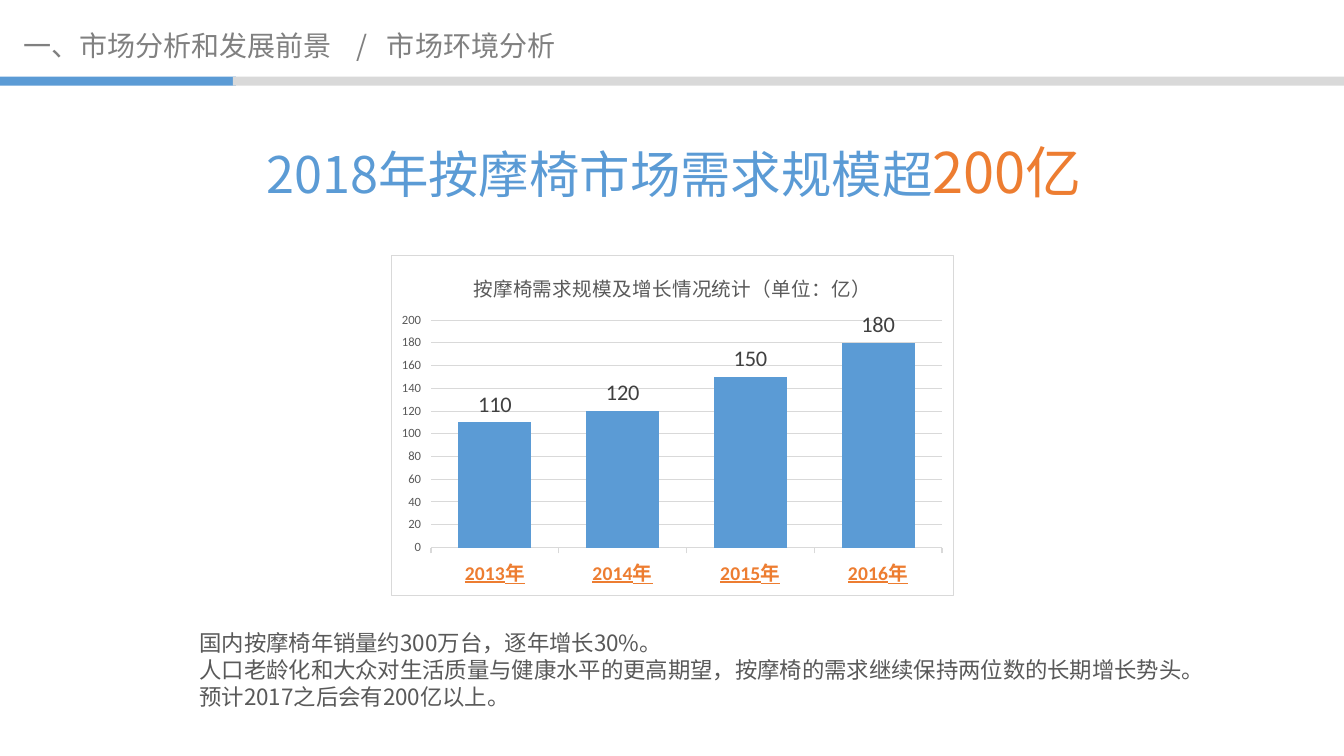
from dataclasses import dataclass

import pptx
import pptx.chart.data
import pptx.dml.color
import pptx.enum.chart
import pptx.enum.text
import pptx.enum.shapes
import pptx.oxml
import pptx.oxml.ns
import pptx.util
from lxml import etree

Inches = pptx.util.Inches
Pt = pptx.util.Pt
qn = pptx.oxml.ns.qn


@dataclass(frozen=True)
class Theme:
    blue: str = "5B9BD5"
    orange: str = "ED7D31"
    rule: str = "D9D9D9"
    breadcrumb: str = "808080"
    body: str = "595959"
    value: str = "404040"
    text_font: str = "Noto Sans CJK SC"
    chart_font: str = "Calibri"
    headline_size: int = 36
    amount_size: int = 40
    breadcrumb_size: int = 20
    body_size: int = 16
    chart_title_size: int = 14
    category_size: int = 14
    axis_size: int = 9
    hairline: float = 0.75


@dataclass(frozen=True)
class Box:
    left: float
    top: float
    width: float
    height: float

    def lengths(self) -> tuple:
        return tuple(Inches(v) for v in (self.left, self.top, self.width, self.height))


@dataclass(frozen=True)
class Bar:
    box: Box
    color: str


@dataclass(frozen=True)
class Span:
    text: str
    size: int
    color: str


THEME = Theme()
BARS = [
    Bar(Box(0, 0.76, 2.34, 0.09), THEME.blue),
    Bar(Box(2.31, 0.76, 11.02, 0.09), THEME.rule),
]
BREADCRUMB = [Span("一、市场分析和发展前景\t/\t市场环境分析", THEME.breadcrumb_size, THEME.breadcrumb)]
BREADCRUMB_TABS = [3.31, 3.61]
HEADLINE = [
    Span("2018年按摩椅市场需求规模超", THEME.headline_size, THEME.blue),
    Span("200亿", THEME.amount_size, THEME.orange),
]
REMARKS = [
    "国内按摩椅年销量约300万台，逐年增长30%。",
    "人口老龄化和大众对生活质量与健康水平的更高期望，按摩椅的需求继续保持两位数的长期增长势头。",
    "预计2017之后会有200亿以上。",
]
DEMAND = {"2013年": 110, "2014年": 120, "2015年": 150, "2016年": 180}


def rgb(color: str) -> pptx.dml.color.RGBColor:
    return pptx.dml.color.RGBColor.from_string(color)


def style_font(font, size: int, color: str, name: str) -> None:
    font.size = Pt(size)
    font.color.rgb = rgb(color)
    font.name = name


def style_line(line, color: str) -> None:
    line.color.rgb = rgb(color)
    line.width = Pt(THEME.hairline)


def draw_bar(slide, bar: Bar) -> None:
    shape = slide.shapes.add_shape(pptx.enum.shapes.MSO_SHAPE.RECTANGLE, *bar.box.lengths())
    shape.shadow.inherit = False
    shape.fill.solid()
    shape.fill.fore_color.rgb = rgb(bar.color)
    shape.line.fill.background()


def write_paragraphs(frame, paragraphs: list[list[Span]]) -> None:
    """Fill a text frame, left and top aligned, with one list of spans per paragraph."""
    frame.word_wrap = True
    frame.auto_size = pptx.enum.text.MSO_AUTO_SIZE.SHAPE_TO_FIT_TEXT
    frame.vertical_anchor = pptx.enum.text.MSO_ANCHOR.TOP
    for index, spans in enumerate(paragraphs):
        paragraph = frame.add_paragraph() if index else frame.paragraphs[0]
        paragraph.alignment = pptx.enum.text.PP_ALIGN.LEFT
        for span in spans:
            run = paragraph.add_run()
            run.text = span.text
            style_font(run.font, span.size, span.color, THEME.text_font)
            latin = run.font._element.find(qn("a:latin"))
            east_asian = etree.Element(qn("a:ea"), typeface=THEME.text_font)
            latin.addnext(east_asian)


def set_tabs(paragraph, stops: list[float]) -> None:
    tabs = etree.SubElement(paragraph._p.get_or_add_pPr(), qn("a:tabLst"))
    for stop in stops:
        etree.SubElement(tabs, qn("a:tab"), pos=str(Inches(stop)), algn="l")


def frame_chart(chart) -> None:
    """Give the chart area a thin border and place its plot area."""
    border = pptx.oxml.parse_xml(
        f'<c:spPr xmlns:c="{pptx.oxml.ns.nsuri("c")}" xmlns:a="{pptx.oxml.ns.nsuri("a")}">'
        f'<a:noFill/><a:ln w="{Pt(THEME.hairline)}"><a:solidFill>'
        f'<a:srgbClr val="{THEME.rule}"/></a:solidFill></a:ln></c:spPr>'
    )
    chart_part = chart._chartSpace.find(qn("c:chart"))
    chart_part.addnext(border)
    plot_area = chart_part.find(qn("c:plotArea"))
    layout = plot_area.find(qn("c:layout"))
    if layout is None:
        layout = etree.Element(qn("c:layout"))
        plot_area.insert(0, layout)
    manual = etree.SubElement(layout, qn("c:manualLayout"))
    settings = {"layoutTarget": "inner", "xMode": "edge", "yMode": "edge",
                "x": "0.07", "y": "0.19", "w": "0.91", "h": "0.67"}
    for tag, value in settings.items():
        etree.SubElement(manual, qn(f"c:{tag}"), val=value)


def draw_demand_chart(slide, box: Box) -> None:
    enums = pptx.enum.chart
    data = pptx.chart.data.CategoryChartData()
    data.categories = list(DEMAND)
    data.add_series("Series 1", list(DEMAND.values()))
    chart = slide.shapes.add_chart(
        enums.XL_CHART_TYPE.COLUMN_CLUSTERED, *box.lengths(), data).chart
    style_font(chart.font, 10, "000000", THEME.chart_font)
    chart.has_legend = False
    chart.has_title = True
    chart.chart_title.include_in_layout = False
    heading = chart.chart_title.text_frame
    heading.text = "按摩椅需求规模及增长情况统计（单位：亿）"
    heading_font = heading.paragraphs[0].runs[0].font
    style_font(heading_font, THEME.chart_title_size, THEME.body, THEME.chart_font)
    heading_font.bold = False

    years = chart.category_axis
    style_line(years.format.line, THEME.rule)
    years.major_tick_mark = enums.XL_TICK_MARK.OUTSIDE
    year_font = years.tick_labels.font
    style_font(year_font, THEME.category_size, THEME.orange, THEME.chart_font)
    year_font.bold = True
    year_font.underline = True

    scale = chart.value_axis
    scale.minimum_scale, scale.maximum_scale, scale.major_unit = 0, 200, 20
    scale.format.line.fill.background()
    style_line(scale.major_gridlines.format.line, THEME.rule)
    style_font(scale.tick_labels.font, THEME.axis_size, THEME.body, THEME.chart_font)

    plot = chart.plots[0]
    plot.gap_width, plot.overlap, plot.vary_by_categories = 75, -25, False
    demand = plot.series[0]
    demand.format.fill.solid()
    demand.format.fill.fore_color.rgb = rgb(THEME.blue)
    labels = demand.data_labels
    labels.show_value = True
    labels.position = enums.XL_LABEL_POSITION.OUTSIDE_END
    style_font(labels.font, THEME.body_size, THEME.value, THEME.chart_font)
    frame_chart(chart)


def main() -> None:
    deck = pptx.Presentation()
    deck.slide_width, deck.slide_height = Inches(13.33), Inches(7.5)
    slide = deck.slides.add_slide(deck.slide_layouts[5])
    for bar in BARS:
        draw_bar(slide, bar)
    breadcrumb = slide.shapes.add_textbox(*Box(0.13, 0.23, 5.78, 0.44).lengths()).text_frame
    write_paragraphs(breadcrumb, [BREADCRUMB])
    set_tabs(breadcrumb.paragraphs[0], BREADCRUMB_TABS)
    headline = slide.shapes.title
    headline.left, headline.top, headline.width, headline.height = Box(2.54, 1.31, 8.4, 0.77).lengths()
    write_paragraphs(headline.text_frame, [HEADLINE])
    draw_demand_chart(slide, Box(3.88, 2.53, 5.58, 3.38))
    remarks = slide.shapes.add_textbox(*Box(1.88, 6.19, 10.2, 0.91).lengths()).text_frame
    write_paragraphs(remarks, [[Span(text, THEME.body_size, THEME.body)] for text in REMARKS])
    deck.save("out.pptx")


if __name__ == "__main__":
    main()
